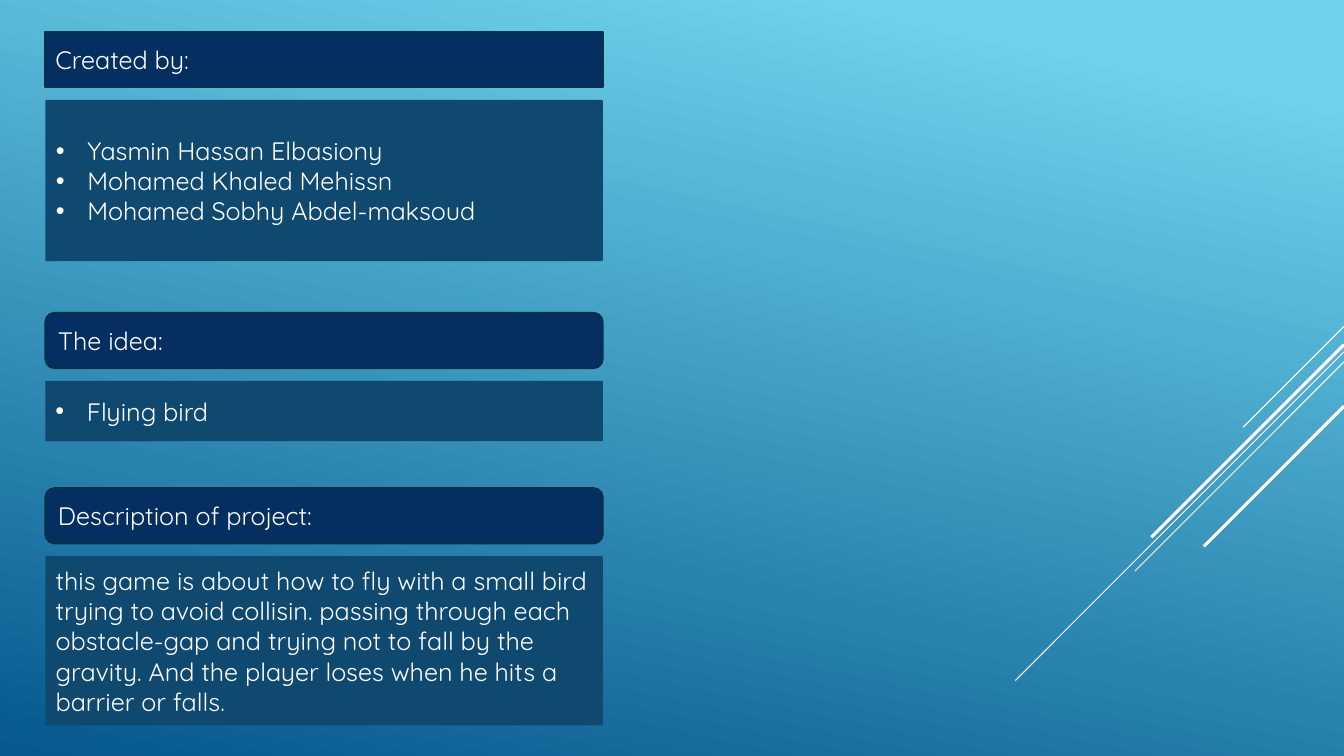
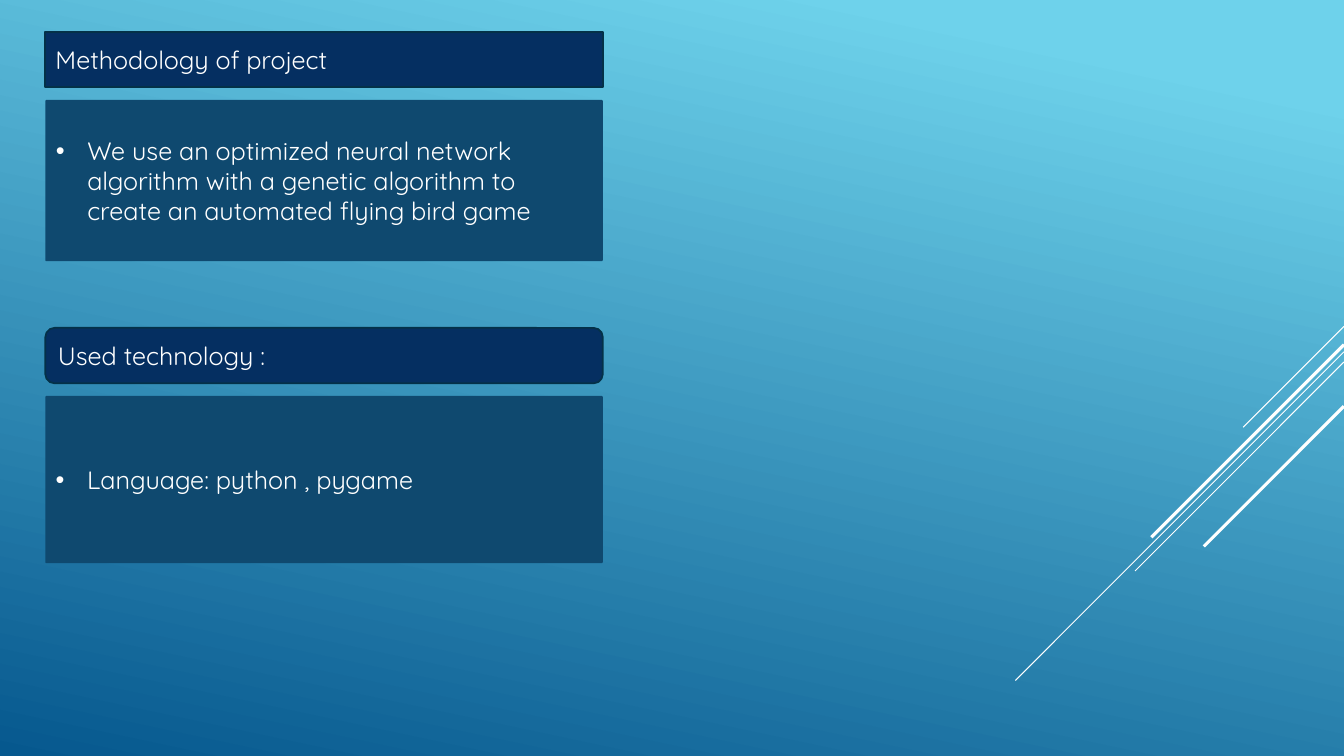
from lxml import etree
from pptx import Presentation
from pptx.dml.color import RGBColor
from pptx.enum import shapes, text
from pptx.oxml import ns
from pptx.util import Pt

SKY = RGBColor(0x6E, 0xD2, 0xEB)
DEEP_BLUE = RGBColor(0x06, 0x58, 0x8E)
NAVY = RGBColor(0x05, 0x2F, 0x61)
NAVY_EDGE = RGBColor(0x04, 0x31, 0x48)
TEAL = RGBColor(0x0F, 0x49, 0x6F)
WHITE = RGBColor(0xFF, 0xFF, 0xFF)

FONT = "Quicksand"
FONT_SIZE = 18
SLIDE_W, SLIDE_H = 960, 540
COLUMN_LEFT, COLUMN_W = 32.4, 398.2
HEADING_H, HEADING_GAP = 39.6, 9
HEADING_RADIUS, PANEL_RADIUS = 0.1667, 0.008
BULLET_INDENT = 22.5

STREAKS = [
    (233.2, 72, 0.75),
    (251.3, 234.7, 0.75),
    (258.6, 149.2, 0.75),
    (246.2, 137.6, 2.25),
    (290.2, 100.1, 2.25),
]

SLIDES = [
    [
        (22.8, "Created by:", 115.2, True,
         ["Yasmin Hassan Elbasiony", "Mohamed Khaled Mehissn",
          "Mohamed Sobhy Abdel-maksoud"]),
        (223.4, "The idea:", 43.2, True, ["Flying bird"]),
        (348.6, "Description of project:", 121, False,
         ["this game is about how to fly with a small bird trying to avoid "
          "collisin. passing through each obstacle-gap and trying not to fall "
          "by the gravity. And the player loses when he hits a barrier or falls."]),
    ],
    [
        (22.8, "Methodology of project", 115.2, True,
         ["We use an optimized neural network algorithm with a genetic "
          "algorithm to create an automated flying bird game"]),
        (234.2, "Used technology :", 119.5, True, ["Language: python , pygame"]),
    ],
]


def add_streaks(slide, master, right):
    for top, reach, weight in STREAKS:
        streak = slide.shapes.add_connector(
            shapes.MSO_CONNECTOR.STRAIGHT,
            Pt(right), Pt(top), Pt(right - reach), Pt(top + reach))
        streak.line.color.rgb = WHITE
        streak.line.width = Pt(weight)
        etree.SubElement(streak.element.spPr, ns.qn("a:effectLst"))
        master.shapes.element.append(streak.element)


def paint_background(master):
    fill = master.background.fill
    fill.gradient()
    fill.gradient_angle = 258
    for stop, position, color in zip(fill.gradient_stops, (0.1, 1), (SKY, DEEP_BLUE)):
        stop.position = position
        stop.color.rgb = color


def place_box(slide, box, radius, color, placeholder=None):
    left, top, width, height = (Pt(length) for length in box)
    if placeholder is None:
        block = slide.shapes.add_shape(
            shapes.MSO_SHAPE.ROUNDED_RECTANGLE, left, top, width, height)
        block.adjustments[0] = radius
        block.shadow.inherit = False
    else:
        block = placeholder
        block.left, block.top, block.width, block.height = left, top, width, height
        outline = etree.SubElement(
            block.element.spPr, ns.qn("a:prstGeom"), prst="roundRect")
        guides = etree.SubElement(outline, ns.qn("a:avLst"))
        etree.SubElement(guides, ns.qn("a:gd"), name="adj",
                         fmla=f"val {round(radius * 100000)}")
    block.fill.solid()
    block.fill.fore_color.rgb = color
    block.line.fill.background()
    return block


def write(block, lines, bulleted):
    frame = block.text_frame
    frame.word_wrap = True
    frame.auto_size = text.MSO_AUTO_SIZE.NONE
    frame.vertical_anchor = text.MSO_ANCHOR.MIDDLE
    for number, line in enumerate(lines):
        paragraph = frame.add_paragraph() if number else frame.paragraphs[0]
        paragraph.alignment = text.PP_ALIGN.LEFT
        paragraph.space_before = Pt(0)
        indent = Pt(BULLET_INDENT) if bulleted else 0
        properties = paragraph._p.get_or_add_pPr()
        properties.set("marL", str(indent))
        properties.set("indent", str(-indent))
        if bulleted:
            etree.SubElement(properties, ns.qn("a:buFont"), typeface="Arial")
            etree.SubElement(properties, ns.qn("a:buChar"), char="•")
        else:
            etree.SubElement(properties, ns.qn("a:buNone"))
        run = paragraph.add_run()
        run.text = line
        run.font.name = FONT
        run.font.size = Pt(FONT_SIZE)
        run.font.color.rgb = WHITE


def add_section(slide, box, title, bulleted, lines, holders):
    left, top, width, panel_h = box
    heading = place_box(slide, (left, top, width, HEADING_H),
                        HEADING_RADIUS, NAVY, holders[0])
    heading.line.color.rgb = NAVY_EDGE
    heading.line.width = Pt(1.25)
    write(heading, [title], False)
    panel_top = top + HEADING_H + HEADING_GAP
    panel = place_box(slide, (left, panel_top, width, panel_h),
                      PANEL_RADIUS, TEAL, holders[1])
    write(panel, lines, bulleted)


def add_section_slide(deck, sections):
    slide = deck.slides.add_slide(deck.slide_layouts[1])
    holders = (slide.shapes.title, slide.placeholders[1])
    for top, title, panel_h, bulleted, lines in sections:
        add_section(slide, (COLUMN_LEFT, top, COLUMN_W, panel_h),
                    title, bulleted, lines, holders)
        holders = (None, None)
    return slide


def main():
    deck = Presentation()
    deck.slide_width, deck.slide_height = Pt(SLIDE_W), Pt(SLIDE_H)
    paint_background(deck.slide_master)
    built = [add_section_slide(deck, sections) for sections in SLIDES]
    add_streaks(built[0], deck.slide_master, SLIDE_W)
    deck.save("out.pptx")


if __name__ == "__main__":
    main()
